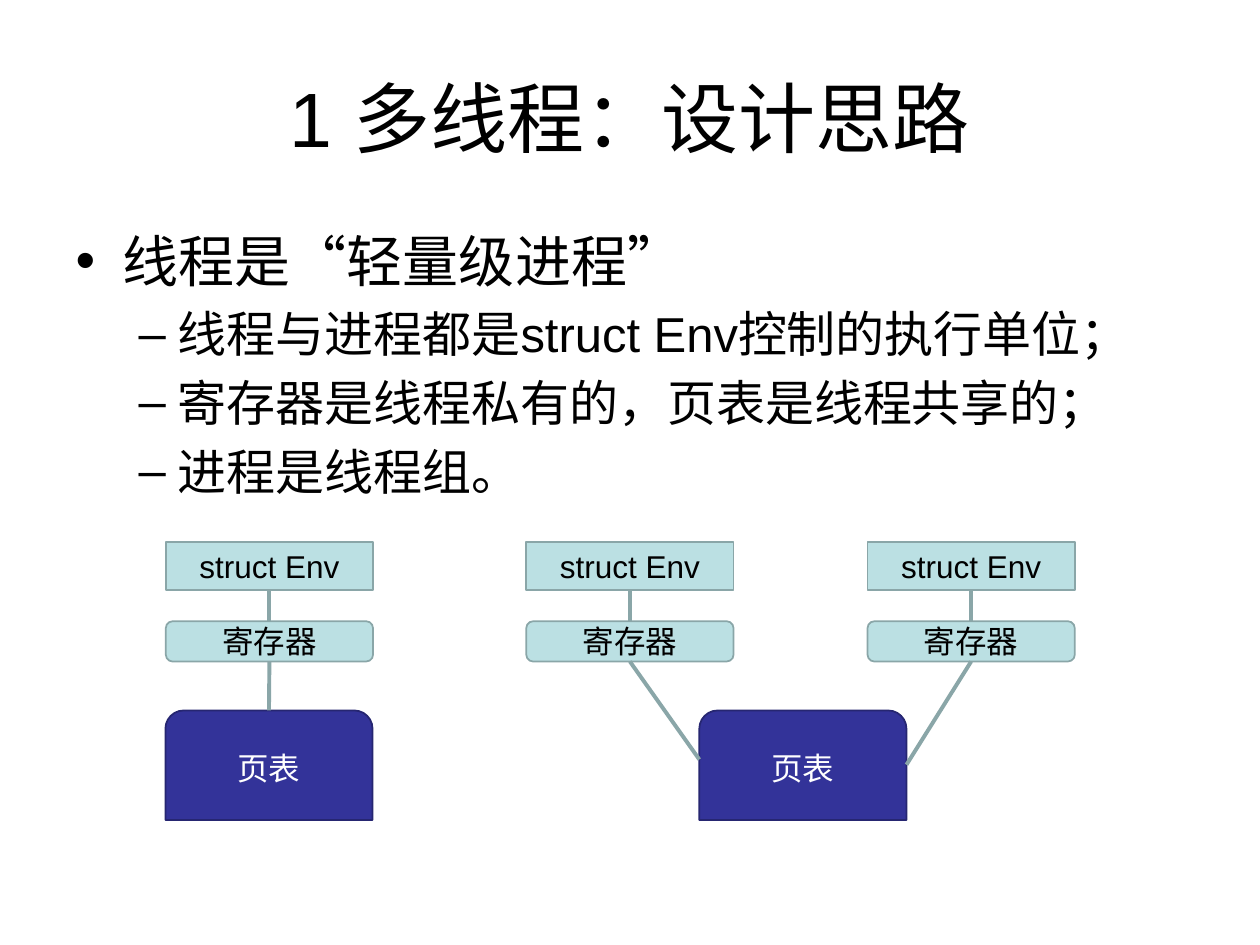
from lxml import etree
from pptx import Presentation
from pptx.dml.color import RGBColor
from pptx.enum import shapes, text
from pptx.oxml import ns
from pptx.util import Pt

# Content
TITLE = "1 多线程：设计思路"
BULLETS = [
    (0, "线程是“轻量级进程”"),
    (1, "线程与进程都是struct Env控制的执行单位；"),
    (1, "寄存器是线程私有的，页表是线程共享的；"),
    (1, "进程是线程组。"),
]
# Each process: left of its page table, then per thread
# (left of its boxes, point where it meets the page table as x share and y)
PROCESSES = [
    (94.5, [(94.75, 0.5, 406)]),
    (399.6, [(300.75, 0, 434), (495.75, 1, 437)]),
]

# Look
FONT = "Arial"
BULLET_SIZES = [32, 28]
BLACK = RGBColor(0x00, 0x00, 0x00)
WHITE = RGBColor(0xFF, 0xFF, 0xFF)
TEAL = RGBColor(0xBB, 0xE0, 0xE3)
TEAL_EDGE = RGBColor(0x8A, 0xA6, 0xA8)
NAVY = RGBColor(0x33, 0x33, 0x99)
NAVY_EDGE = RGBColor(0x26, 0x26, 0x71)

# Rows of the diagram: preset, label, top, height, fill, edge, text colour
SHAPE = shapes.MSO_SHAPE
ENV = (SHAPE.RECTANGLE, "struct Env", 309.6, 27.4, TEAL, TEAL_EDGE, BLACK)
REGISTERS = (SHAPE.ROUNDED_RECTANGLE, "寄存器", 355, 23, TEAL, TEAL_EDGE, BLACK)
PAGE_TABLE = (SHAPE.ROUND_2_SAME_RECTANGLE, "页表", 406, 62.6, NAVY, NAVY_EDGE, WHITE)
BOX_WIDTH = 118.4


def style(paragraph, size, color):
    paragraph.font.name = FONT
    paragraph.font.size = Pt(size)
    paragraph.font.color.rgb = color


def place(holder, left, top, width, height):
    holder.left, holder.top = Pt(left), Pt(top)
    holder.width, holder.height = Pt(width), Pt(height)


def add_box(slide, left, row):
    preset, label, top, height, fill, edge, color = row
    box = slide.shapes.add_shape(preset, Pt(left), Pt(top), Pt(BOX_WIDTH), Pt(height))
    box.shadow.inherit = False
    box.fill.solid()
    box.fill.fore_color.rgb = fill
    box.line.color.rgb = edge
    box.line.width = Pt(1)
    box.text_frame.vertical_anchor = text.MSO_ANCHOR.MIDDLE
    paragraph = box.text_frame.paragraphs[0]
    paragraph.text = label
    paragraph.alignment = text.PP_ALIGN.CENTER
    style(paragraph, 18, color)
    return box


def add_link(slide, upper, x=0, y=0):
    """Draw a line from the bottom of a box to the point (x, y)."""
    link = slide.shapes.add_connector(
        shapes.MSO_CONNECTOR.STRAIGHT, 0, 0, Pt(x), Pt(y))
    link.begin_connect(upper, 2)
    link.line.color.rgb = TEAL_EDGE
    link.line.width = Pt(2.25)
    etree.SubElement(link._element.spPr, ns.qn("a:effectLst"))
    return link


def main():
    prs = Presentation()
    prs.slide_width, prs.slide_height = Pt(720), Pt(540)
    slide = prs.slides.add_slide(prs.slide_layouts[1])

    # Title
    title = slide.shapes.title
    place(title, 36, 21.6, 648, 90)
    title.text_frame.text = TITLE
    style(title.text_frame.paragraphs[0], 44, BLACK)

    # Bullets
    body = slide.placeholders[1]
    place(body, 36, 126, 648, 356.4)
    body.text_frame.text = "\n".join(line for _, line in BULLETS)
    for paragraph, (level, _) in zip(body.text_frame.paragraphs, BULLETS):
        paragraph.level = level
        style(paragraph, BULLET_SIZES[level], BLACK)

    # Diagram: threads above the page table of their process
    for table_left, threads in PROCESSES:
        add_box(slide, table_left, PAGE_TABLE)
        for left, share, meet_y in threads:
            env = add_box(slide, left, ENV)
            registers = add_box(slide, left, REGISTERS)
            add_link(slide, env).end_connect(registers, 0)
            add_link(slide, registers, table_left + share * BOX_WIDTH, meet_y)

    prs.save("out.pptx")


if __name__ == "__main__":
    main()
